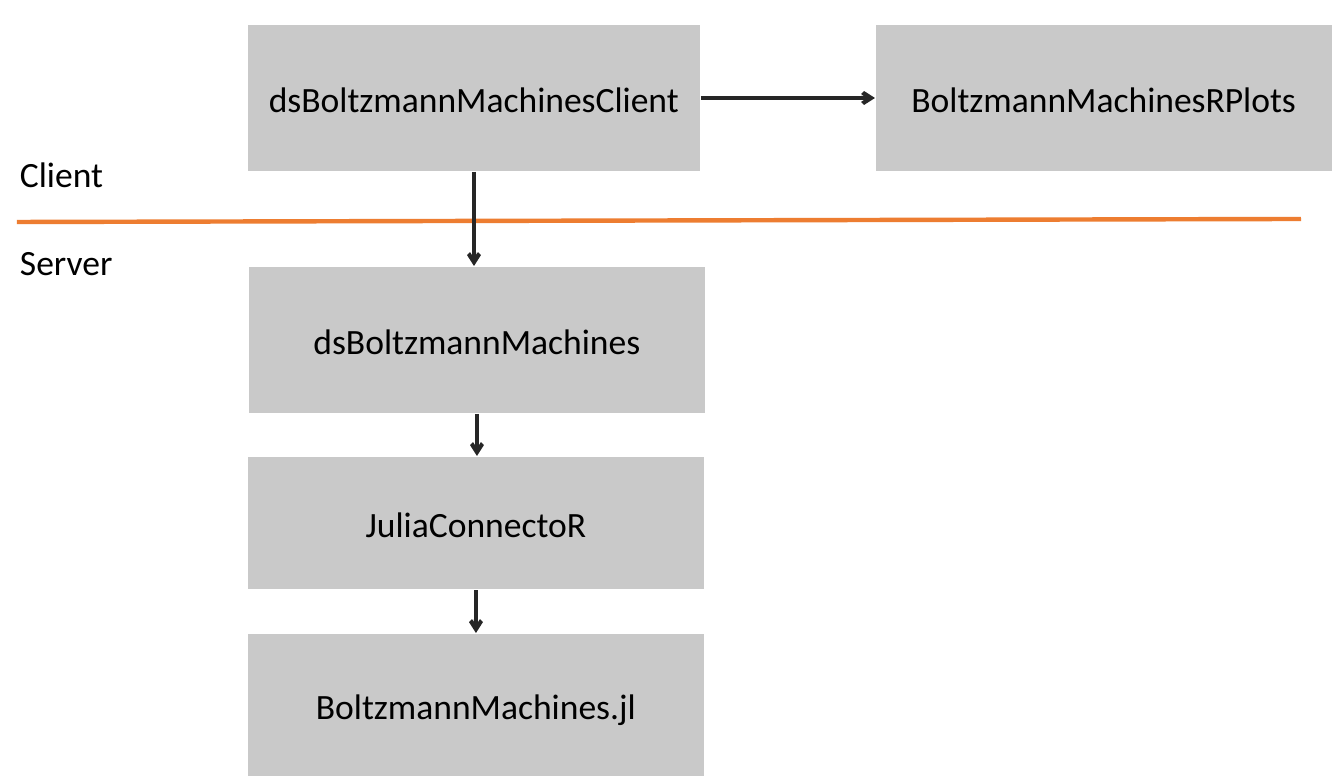
from pptx import Presentation
from pptx.dml.color import RGBColor
from pptx.enum.shapes import MSO_CONNECTOR as Conn, MSO_SHAPE as Shape
from pptx.enum.text import MSO_ANCHOR as Anchor, PP_ALIGN as Align
from pptx.oxml.ns import qn
from pptx.util import Pt
from lxml.etree import SubElement

PX = 6430
SIZE = (1344, 784)
BOXES = {
    "BoltzmannMachinesRPlots": (875, 24, 458, 148),
    "JuliaConnectoR": (247, 456, 458, 134),
    "dsBoltzmannMachinesClient": (247, 24, 454, 148),
    "dsBoltzmannMachines": (248, 266, 458, 148),
    "BoltzmannMachines.jl": (247, 633, 458, 144),
}
LABELS = {"Client": (6, 145, 274, 57), "Server": (6, 233, 154, 57)}
BORDER = (17, 222, 1301, 219)
CALLS = [
    ("dsBoltzmannMachinesClient", "dsBoltzmannMachines"),
    ("dsBoltzmannMachinesClient", "BoltzmannMachinesRPlots"),
    ("dsBoltzmannMachines", "JuliaConnectoR"),
    ("JuliaConnectoR", "BoltzmannMachines.jl"),
]
FONT = {"name": "Calibri", "size": Pt(18)}


def emu(nums):
    return [n * PX for n in nums]


def color(fmt, code):
    fmt.rgb = RGBColor.from_string(code)


def write(shape, text, align, anchor):
    frame = shape.text_frame
    frame.word_wrap = True
    frame.vertical_anchor = anchor
    para = frame.paragraphs[0]
    para.alignment = align
    run = para.add_run()
    run.text = text
    for key, val in FONT.items():
        setattr(run.font, key, val)
    color(run.font.color, "000000")


def add_box(slide, text, place):
    box = slide.shapes.add_shape(Shape.RECTANGLE, *emu(place))
    box.shadow.inherit = False
    box.fill.solid()
    color(box.fill.fore_color, "C9C9C9")
    color(box.line.color, "FFFFFF")
    box.line.width = Pt(1)
    write(box, text, Align.CENTER, Anchor.MIDDLE)


def add_line(slide, ends, code, width, arrow=False):
    line = slide.shapes.add_connector(Conn.STRAIGHT, *emu(ends))
    color(line.line.color, code)
    line.line.width = Pt(width)
    if arrow:
        SubElement(line.line._get_or_add_ln(), qn("a:tailEnd"), type="arrow")
    SubElement(line._element.spPr, qn("a:effectLst"))


def route(start, end):
    x, y, w, h = BOXES[start]
    left, top = BOXES[end][:2]
    if top == y:
        mid = y + h // 2
        return x + w, mid, left, mid
    mid = x + w // 2
    return mid, y + h, mid, top


def main():
    deck = Presentation()
    deck.slide_width, deck.slide_height = emu(SIZE)
    slide = deck.slides.add_slide(deck.slide_layouts[6])
    for text, place in BOXES.items():
        add_box(slide, text, place)
    add_line(slide, BORDER, "ED7D31", 2.25)
    for text, place in LABELS.items():
        label = slide.shapes.add_textbox(*emu(place))
        write(label, text, Align.LEFT, Anchor.TOP)
    for start, end in CALLS:
        add_line(slide, route(start, end), "262626", 2, True)
    deck.save("out.pptx")


if __name__ == "__main__":
    main()
